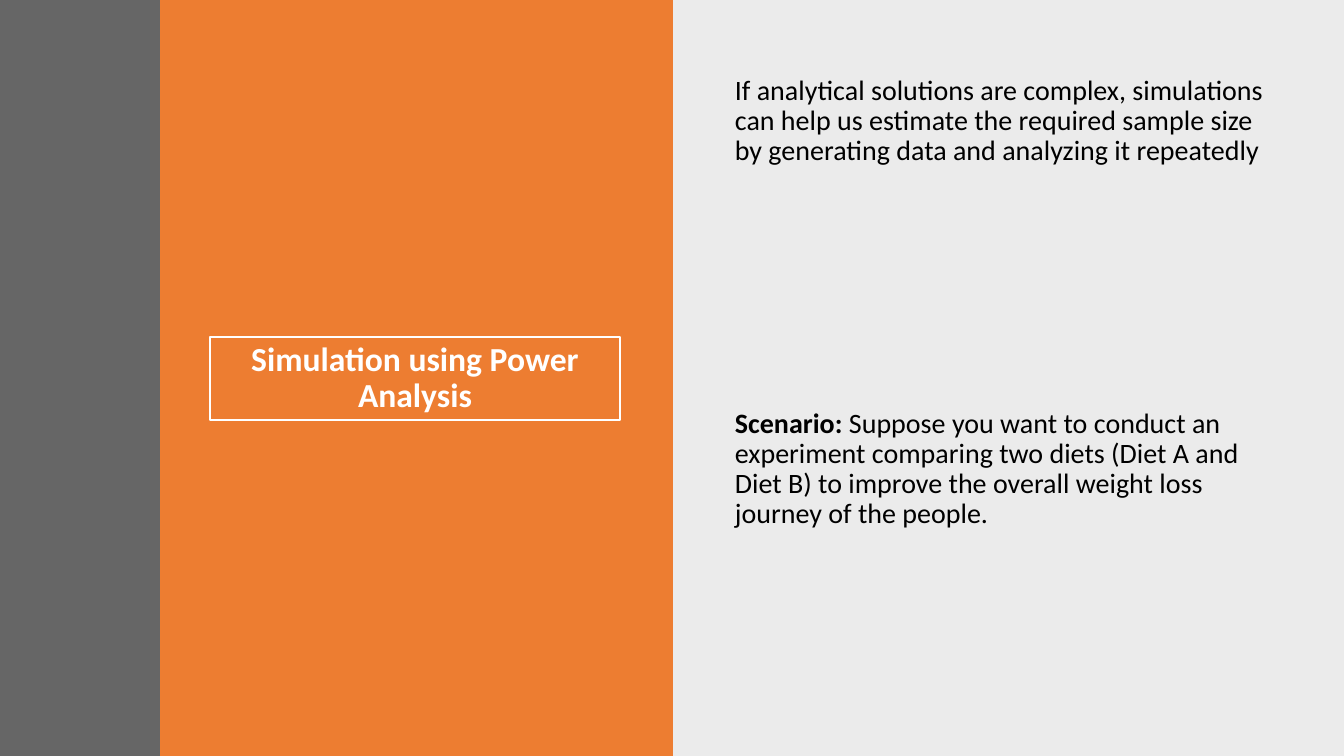
import pptx
import pptx.util
import pptx.dml.color
import pptx.enum.shapes
import pptx.enum.text
import pptx.oxml.ns
import lxml.etree

SCALE = 914400 / 100.8


def px(length):
    return pptx.util.Emu(round(length * SCALE))


def color(hex_text):
    return pptx.dml.color.RGBColor.from_string(hex_text)


deck = pptx.Presentation()
deck.slide_width, deck.slide_height = px(1344), px(756)
page = deck.slides.add_slide(deck.slide_layouts[6])

panels = [
    (672, 672, "000000", 8),
    (160, 513, "ED7D31", 100),
    (0, 160, "404040", 80),
]
for left, width, fill, opacity in panels:
    panel = page.shapes.add_shape(
        pptx.enum.shapes.MSO_SHAPE.RECTANGLE, px(left), 0, px(width), px(756))
    panel.shadow.inherit = False
    panel.line.fill.background()
    panel.fill.solid()
    panel.fill.fore_color.rgb = color(fill)
    if opacity < 100:
        fill_color = panel.fill._xPr.find(".//" + pptx.oxml.ns.qn("a:srgbClr"))
        alpha = lxml.etree.SubElement(fill_color, pptx.oxml.ns.qn("a:alpha"))
        alpha.set("val", str(opacity * 1000))

center = pptx.enum.text.PP_ALIGN.CENTER
left_align = pptx.enum.text.PP_ALIGN.LEFT
middle = pptx.enum.text.MSO_ANCHOR.MIDDLE
top_anchor = pptx.enum.text.MSO_ANCHOR.TOP
texts = [
    ((210, 337, 410, 83), middle, center, 24, "FFFFFF", 0, 0,
     [("Simulation using Power Analysis", True)]),
    ((725, 71, 557, 281), top_anchor, left_align, 20, "000000", 10, 0,
     [("If analytical solutions are complex, simulations can help us estimate "
       "the required sample size by generating data and analyzing it repeatedly", False)]),
    ((725, 404, 557, 281), top_anchor, left_align, 20, "000000", 0, 6,
     [("Scenario: ", True),
      ("Suppose you want to conduct an experiment comparing two diets (Diet A and "
       "Diet B) to improve the overall weight loss journey of the people.", False)]),
]
for place, anchor, alignment, size, ink, before, after, runs in texts:
    box = page.shapes.add_textbox(*map(px, place))
    if anchor == middle:
        box.line.color.rgb = color("FFFFFF")
        box.line.width = pptx.util.Pt(2)
    box.text_frame.word_wrap = True
    box.text_frame.vertical_anchor = anchor
    para = box.text_frame.paragraphs[0]
    para.alignment = alignment
    para.line_spacing = 0.9
    para.space_before = pptx.util.Pt(before)
    para.space_after = pptx.util.Pt(after)
    for words, bold in runs:
        span = para.add_run()
        span.text = words
        span.font.name = "Calibri"
        span.font.size = pptx.util.Pt(size)
        span.font.bold = bold
        span.font.color.rgb = color(ink)

deck.save("out.pptx")
